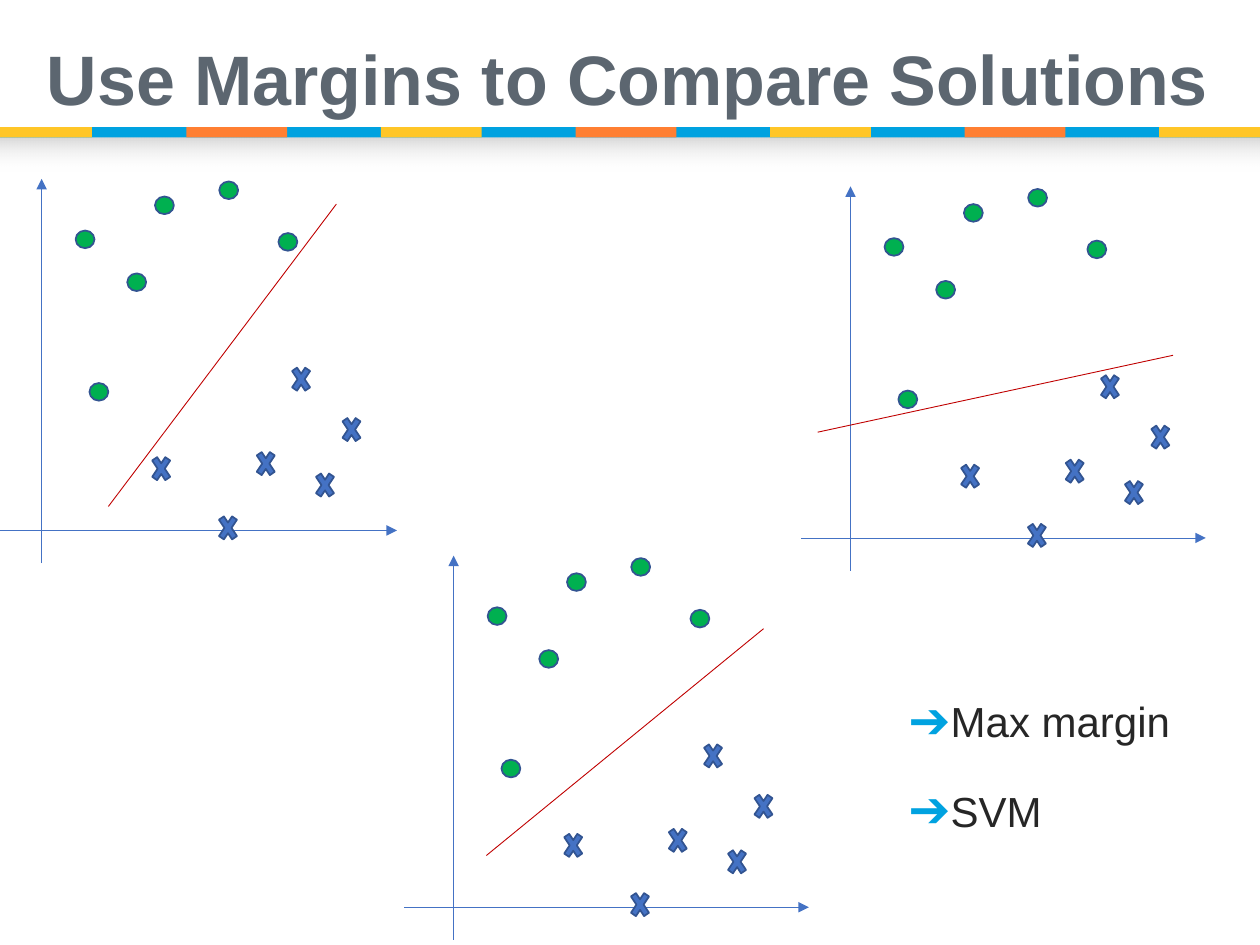
from dataclasses import dataclass

from lxml.etree import SubElement
from pptx import Presentation
from pptx.dml.color import RGBColor
from pptx.enum.shapes import MSO_CONNECTOR, MSO_SHAPE
from pptx.enum.text import MSO_ANCHOR, MSO_AUTO_SIZE, PP_ALIGN
from pptx.oxml.ns import qn
from pptx.util import Inches, Pt


@dataclass(frozen=True)
class Theme:
    font: str = "Arial"
    title_size: int = 40
    body_size: int = 24
    title: str = "5C6670"
    text: str = "262626"
    blue: str = "00A2E0"
    gold: str = "FFC627"
    orange: str = "FF7F32"
    shade: str = "D9D9D9"
    white: str = "FFFFFF"
    axis: str = "4472C4"
    outline: str = "325491"
    dot: str = "00B050"
    boundary: str = "C00000"


CROSSES = [(2.01, 3.53), (2.69, 3.26), (1.71, 4.04),
           (1.18, 3.57), (2.29, 2.86), (2.48, 3.70)]
DOTS = [(0.71, 3.04), (2.21, 1.85), (0.60, 1.83),
        (1.01, 2.17), (1.74, 1.44), (1.23, 1.56)]
PLOT_OFFSETS = [(0, 0), (3.27, 2.99), (6.42, 0.06)]
BOUNDARIES = [((2.67, 1.62), (0.86, 4.02)),
              ((6.06, 4.99), (3.86, 6.79)),
              ((9.31, 2.82), (6.49, 3.43))]
BAND_STEP = (9.2 - 1.48) / 5


def rgb(color):
    return RGBColor.from_string(color)


def apply(obj, values):
    for name, value in values.items():
        setattr(obj, name, value)


def place(sp, *box):
    names = ("left", "top", "width", "height")
    apply(sp, dict(zip(names, map(Inches, box))))


class Deck:
    def __init__(self, theme):
        self.theme = theme
        self.prs = Presentation()
        apply(self.prs, {"slide_width": Inches(10), "slide_height": Inches(7.5)})
        self.s = self.prs.slides.add_slide(self.prs.slide_layouts[1])

    def shape(self, shapes, kind, box, fill, outline=None):
        sp = shapes.add_shape(kind, *map(Inches, box))
        sp.shadow.inherit = False
        sp.fill.solid()
        sp.fill.fore_color.rgb = rgb(fill)
        if outline:
            sp.line.color.rgb = rgb(outline)
            sp.line.width = Pt(1)
        else:
            sp.line.fill.background()
        return sp

    def line(self, shapes, start, end, color, arrow=False):
        ends = map(Inches, (*start, *end))
        cxn = shapes.add_connector(MSO_CONNECTOR.STRAIGHT, *ends)
        cxn.line.color.rgb = rgb(color)
        cxn.line.width = Pt(0.5)
        if arrow:
            SubElement(cxn.line._get_or_add_ln(), qn("a:tailEnd"), type="triangle")
        SubElement(cxn._element.spPr, qn("a:effectLst"))

    def header_band(self):
        t = self.theme
        shade = self.shape(self.s.shapes, MSO_SHAPE.RECTANGLE, (0, 1.09, 10, 0.27), t.shade)
        shade.fill.gradient()
        shade.fill.gradient_angle = 270
        for stop, position, color in zip(shade.fill.gradient_stops, (0, 1), (t.shade, t.white)):
            apply(stop, {"position": position})
            stop.color.rgb = rgb(color)
        clear = shade._element.spPr.findall(".//" + qn("a:srgbClr"))[-1]
        SubElement(clear, qn("a:alpha"), val="0")

        shapes = self.s.shapes.add_group_shape().shapes
        bars = [(0, 10, t.blue), (-0.01, 0.74, t.gold)]
        bars += [(1.48 + i * BAND_STEP, 0.8, (t.orange, t.gold)[i % 2]) for i in range(6)]
        for left, width, color in bars:
            self.shape(shapes, MSO_SHAPE.RECTANGLE, (left, 1.01, width, 0.08), color)

    def plot(self, dx, dy):
        t = self.theme
        shapes = self.s.shapes.add_group_shape().shapes
        for (x1, y1), (x2, y2) in [((-0.06, 4.21), (3.15, 4.21)),
                                   ((0.33, 4.47), (0.33, 1.42))]:
            self.line(shapes, (x1 + dx, y1 + dy), (x2 + dx, y2 + dy), t.axis, arrow=True)
        for kind, points, size, color in [
            (MSO_SHAPE.MATH_MULTIPLY, CROSSES, (0.2, 0.3), t.axis),
            (MSO_SHAPE.OVAL, DOTS, (0.15, 0.14), t.dot),
        ]:
            for x, y in points:
                self.shape(shapes, kind, (x + dx, y + dy, *size), color, t.outline)

    def run(self, p, text, size, color, bold=False):
        r = p.add_run()
        r.text = text
        apply(r.font, {"name": self.theme.font, "size": Pt(size), "bold": bold})
        r.font.color.rgb = rgb(color)

    def title(self, text):
        sp = self.s.shapes.title
        place(sp, 0.27, 0.2, 9.87, 0.92)
        tf = sp.text_frame
        apply(tf, {"auto_size": MSO_AUTO_SIZE.NONE, "word_wrap": True,
                   "vertical_anchor": MSO_ANCHOR.MIDDLE})
        p = tf.paragraphs[0]
        apply(p, {"alignment": PP_ALIGN.LEFT, "line_spacing": 0.9})
        self.run(p, text, self.theme.title_size, self.theme.title, bold=True)

    def bullets(self, items):
        sp = self.s.placeholders[1]
        place(sp, 7.14, 5.48, 3.21, 0.97)
        tf = sp.text_frame
        apply(tf, {"auto_size": MSO_AUTO_SIZE.NONE, "word_wrap": True,
                   "vertical_anchor": MSO_ANCHOR.TOP,
                   "margin_left": Inches(0.07), "margin_right": Inches(0.07),
                   "margin_top": Inches(0.04), "margin_bottom": Inches(0.04)})
        for i, text in enumerate(items):
            p = tf.add_paragraph() if i else tf.paragraphs[0]
            apply(p, {"space_before": Pt(18), "space_after": Pt(4.5)})
            self.run(p, text, self.theme.body_size, self.theme.text)
            pPr = p._p.get_or_add_pPr()
            pPr.set("marL", str(Inches(0.19)))
            pPr.set("indent", str(-Inches(0.19)))
            color = SubElement(pPr, qn("a:buClr"))
            SubElement(color, qn("a:srgbClr"), val=self.theme.blue)
            SubElement(pPr, qn("a:buSzPct"), val="120000")
            SubElement(pPr, qn("a:buFont"), typeface=self.theme.font)
            SubElement(pPr, qn("a:buChar"), char="➔")


def main():
    deck = Deck(Theme())
    deck.header_band()
    for offset in PLOT_OFFSETS:
        deck.plot(*offset)
    for start, end in BOUNDARIES:
        deck.line(deck.s.shapes, start, end, deck.theme.boundary)
    deck.bullets(["Max margin", "SVM"])
    deck.title("Use Margins to Compare Solutions")
    deck.prs.save("out.pptx")


if __name__ == "__main__":
    main()
